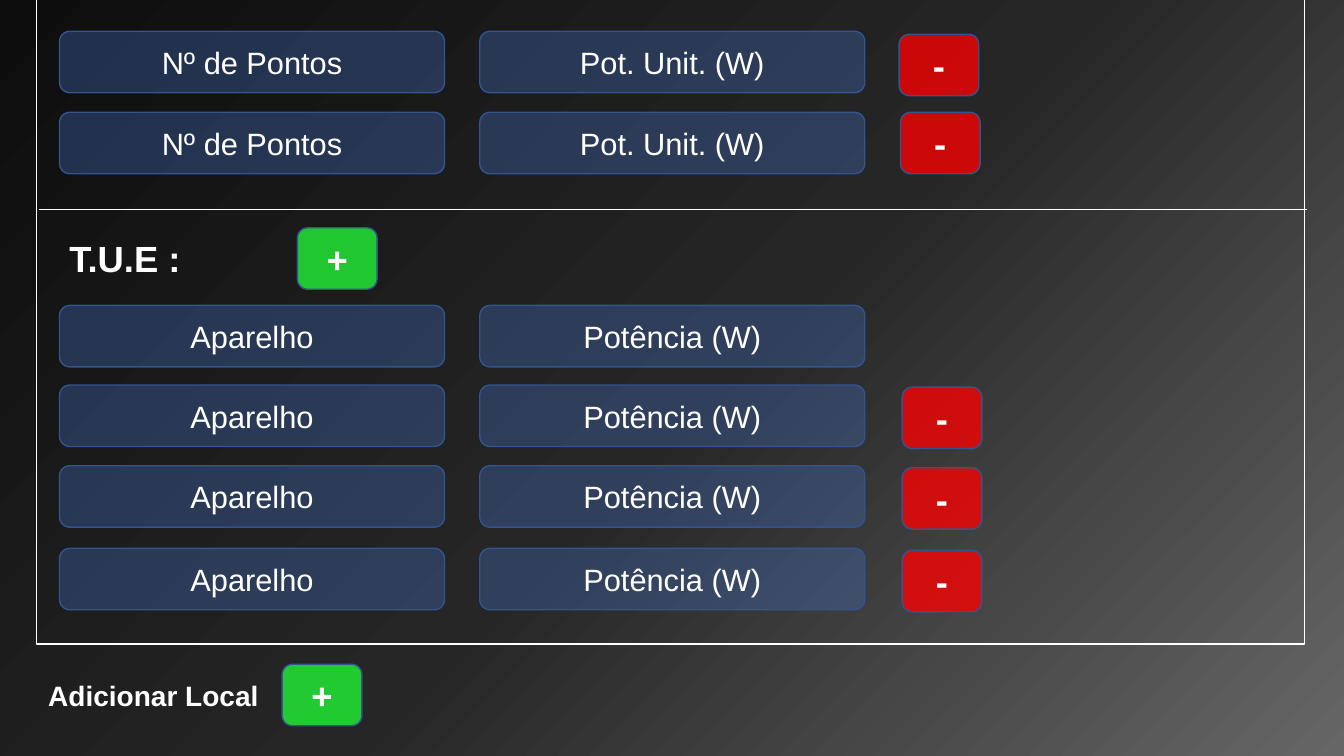
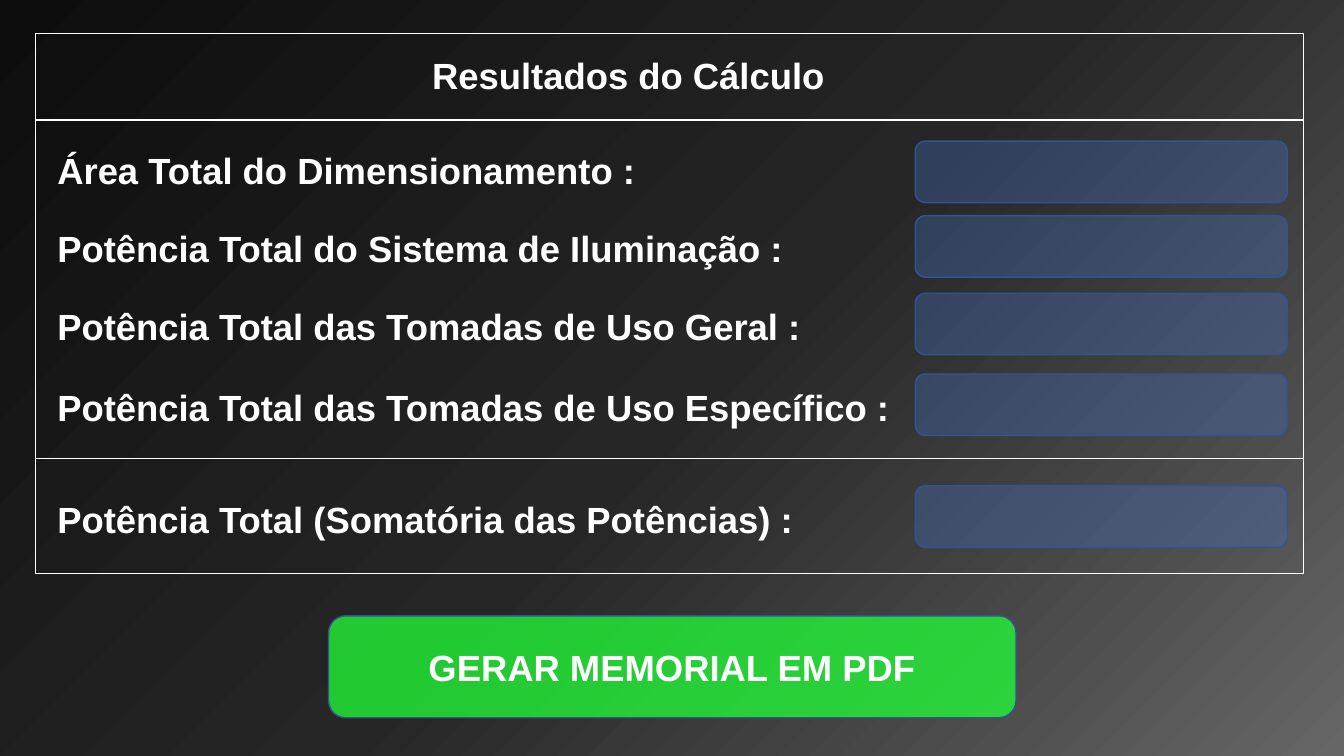
from dataclasses import dataclass
from typing import Optional

import lxml.etree
import pptx
import pptx.dml.color
import pptx.enum.shapes
import pptx.enum.text
import pptx.oxml.ns
import pptx.util

# Shared style
SLIDE_WIDTH = pptx.util.Inches(13.33)
SLIDE_HEIGHT = pptx.util.Inches(7.5)
FONT = "Arial"
WHITE, OUTLINE = "FFFFFF", "325491"
BLUE, GREEN, RED = "4472C4", "22FE37", "FF0000"
FIELD_OPACITY, BUTTON_OPACITY = 34, 76
FIELD_SIZE, HEADING_SIZE, SMALL_HEADING_SIZE = 22, 26, 20
BACKGROUND_STOPS = ((0, "666666"), (48, "262626"), (100, "0D0D0D"))
BACKGROUND_ANGLE = 135  # counter-clockwise

# Shared measures, in percent of the slide's width or height
CONTROL_HEIGHT = 8.13
BUTTON_WIDTH = 5.93
HEADING_HEIGHT = 7.2
FRAME_WIDTH = 94.35

Align = pptx.enum.text.PP_ALIGN
ShapeKind = pptx.enum.shapes.MSO_SHAPE


@dataclass(frozen=True)
class Box:
    """Place and size in percent of the slide."""
    left: float
    top: float
    width: float
    height: float = CONTROL_HEIGHT

    def lengths(self) -> tuple:
        return (across(self.left), down(self.top),
                across(self.width), down(self.height))


@dataclass(frozen=True)
class InputRow:
    top: float
    labels: tuple[str, str]
    minus_left: Optional[float] = None
    minus_drop: float = 0.27


@dataclass(frozen=True)
class ResultRow:
    label: str
    label_top: float
    field_top: float


POINTS = ("Nº de Pontos", "Pot. Unit. (W)")
APPLIANCE = ("Aparelho", "Potência (W)")
INPUT_COLUMNS = (4.43, 35.7)
INPUT_WIDTH = 28.65
INPUT_ROWS = (
    InputRow(4.13, POINTS, 66.9, 0.4),
    InputRow(14.85, POINTS, 67, 0),
    InputRow(40.4, APPLIANCE),
    InputRow(50.93, APPLIANCE, 67.13),
    InputRow(61.6, APPLIANCE, 67.13),
    InputRow(72.53, APPLIANCE, 67.13),
)

RESULT_ROWS = (
    ResultRow("Área Total do Dimensionamento :", 18.93, 18.67),
    ResultRow("Potência Total do Sistema de Iluminação :", 29.2, 28.53),
    ResultRow("Potência Total das Tomadas de Uso Geral :", 39.6, 38.8),
    ResultRow("Potência Total das Tomadas de Uso Específico :", 50.27, 49.47),
    ResultRow("Potência Total (Somatória das Potências) :", 65.07, 64.27),
)


def across(percent: float) -> int:
    return round(SLIDE_WIDTH * percent / 100)


def down(percent: float) -> int:
    return round(SLIDE_HEIGHT * percent / 100)


def set_color(color_format, color: str) -> None:
    color_format.rgb = pptx.dml.color.RGBColor.from_string(color)


def set_line(line, color: str) -> None:
    set_color(line.color, color)
    line.width = pptx.util.Pt(1)


def write(frame, text: str, size: int, bold: bool, align: Align) -> None:
    frame.word_wrap = True
    paragraph = frame.paragraphs[0]
    paragraph.text = text
    paragraph.alignment = align
    paragraph.font.name = FONT
    paragraph.font.size = pptx.util.Pt(size)
    paragraph.font.bold = bold
    set_color(paragraph.font.color, WHITE)


def set_background(master) -> None:
    fill = master.background.fill
    fill.gradient()
    fill.gradient_angle = BACKGROUND_ANGLE
    # A third stop needs XML
    qualify = pptx.oxml.ns.qn
    stops = next(master.element.iter(qualify("a:gsLst")))
    for stop in list(stops):
        stops.remove(stop)
    for position, color in BACKGROUND_STOPS:
        stop = lxml.etree.SubElement(
            stops, qualify("a:gs"), pos=str(position * 1000))
        lxml.etree.SubElement(stop, qualify("a:srgbClr"), val=color)


def add_frame(slide, box: Box) -> None:
    shape = slide.shapes.add_shape(ShapeKind.RECTANGLE, *box.lengths())
    shape.shadow.inherit = False
    shape.fill.background()
    set_line(shape.line, WHITE)


def add_divider(slide, left: float, top: float, right: float) -> None:
    connector = slide.shapes.add_connector(
        pptx.enum.shapes.MSO_CONNECTOR.STRAIGHT,
        across(left), down(top), across(right), down(top))
    set_line(connector.line, WHITE)
    lxml.etree.SubElement(
        connector.element.spPr, pptx.oxml.ns.qn("a:effectLst"))


def add_control(slide, box: Box, color: str, opacity: int):
    """Draw a translucent rounded rectangle."""
    shape = slide.shapes.add_shape(ShapeKind.ROUNDED_RECTANGLE, *box.lengths())
    shape.shadow.inherit = False
    shape.fill.solid()
    set_color(shape.fill.fore_color, color)
    qualify = pptx.oxml.ns.qn
    solid_color = next(shape.element.spPr.iter(qualify("a:srgbClr")))
    lxml.etree.SubElement(
        solid_color, qualify("a:alpha"), val=str(opacity * 1000))
    set_line(shape.line, OUTLINE)
    return shape


def add_field(slide, box: Box, text: str = "") -> None:
    shape = add_control(slide, box, BLUE, FIELD_OPACITY)
    if text:
        write(shape.text_frame, text, FIELD_SIZE, False, Align.CENTER)


def add_button(slide, box: Box, text: str, color: str) -> None:
    shape = add_control(slide, box, color, BUTTON_OPACITY)
    write(shape.text_frame, text, HEADING_SIZE, True, Align.CENTER)


def add_heading(slide, box: Box, text: str, size: int = HEADING_SIZE,
                align: Align = Align.JUSTIFY) -> None:
    frame = slide.shapes.add_textbox(*box.lengths()).text_frame
    write(frame, text, size, True, align)
    frame.auto_size = pptx.enum.text.MSO_AUTO_SIZE.SHAPE_TO_FIT_TEXT


def build_inputs(slide) -> None:
    # Frame and section divider
    add_frame(slide, Box(2.7, -3.33, FRAME_WIDTH, 88.53))
    add_divider(slide, 2.93, 27.73, 97.28)

    # Headings with their add buttons
    add_heading(slide, Box(4.43, 30.53, 17.78, HEADING_HEIGHT), "T.U.E :")
    add_button(slide, Box(22.13, 30.13, BUTTON_WIDTH), "+", GREEN)
    add_heading(slide, Box(2.85, 89.07, 17.85, 5.87), "Adicionar Local",
                SMALL_HEADING_SIZE)
    add_button(slide, Box(21, 87.87, BUTTON_WIDTH), "+", GREEN)

    # Input rows with their remove buttons
    for row in INPUT_ROWS:
        for left, label in zip(INPUT_COLUMNS, row.labels):
            add_field(slide, Box(left, row.top, INPUT_WIDTH), label)
        if row.minus_left is not None:
            box = Box(row.minus_left, row.top + row.minus_drop, BUTTON_WIDTH)
            add_button(slide, box, "-", RED)


def build_results(slide) -> None:
    # Frame, dividers and title
    frame = Box(2.63, 4.4, FRAME_WIDTH, 71.47)
    add_frame(slide, frame)
    for top in (15.87, 60.67):
        add_divider(slide, frame.left, top, frame.left + frame.width)
    add_heading(slide, Box(31.13, 6.4, 31.28, HEADING_HEIGHT),
                "Resultados do Cálculo", align=Align.CENTER)

    # Result rows
    for row in RESULT_ROWS:
        add_heading(slide, Box(3.53, row.label_top, 64.58, HEADING_HEIGHT),
                    row.label)
        add_field(slide, Box(68.1, row.field_top, 27.68))

    # Report button
    add_button(slide, Box(24.45, 81.47, 51.15, 13.47),
               "GERAR MEMORIAL EM PDF", GREEN)


def main() -> None:
    presentation = pptx.Presentation()
    presentation.slide_width = SLIDE_WIDTH
    presentation.slide_height = SLIDE_HEIGHT
    set_background(presentation.slide_master)
    blank_layout = presentation.slide_layouts[6]
    for build in (build_inputs, build_results):
        build(presentation.slides.add_slide(blank_layout))
    presentation.save("out.pptx")


if __name__ == "__main__":
    main()
